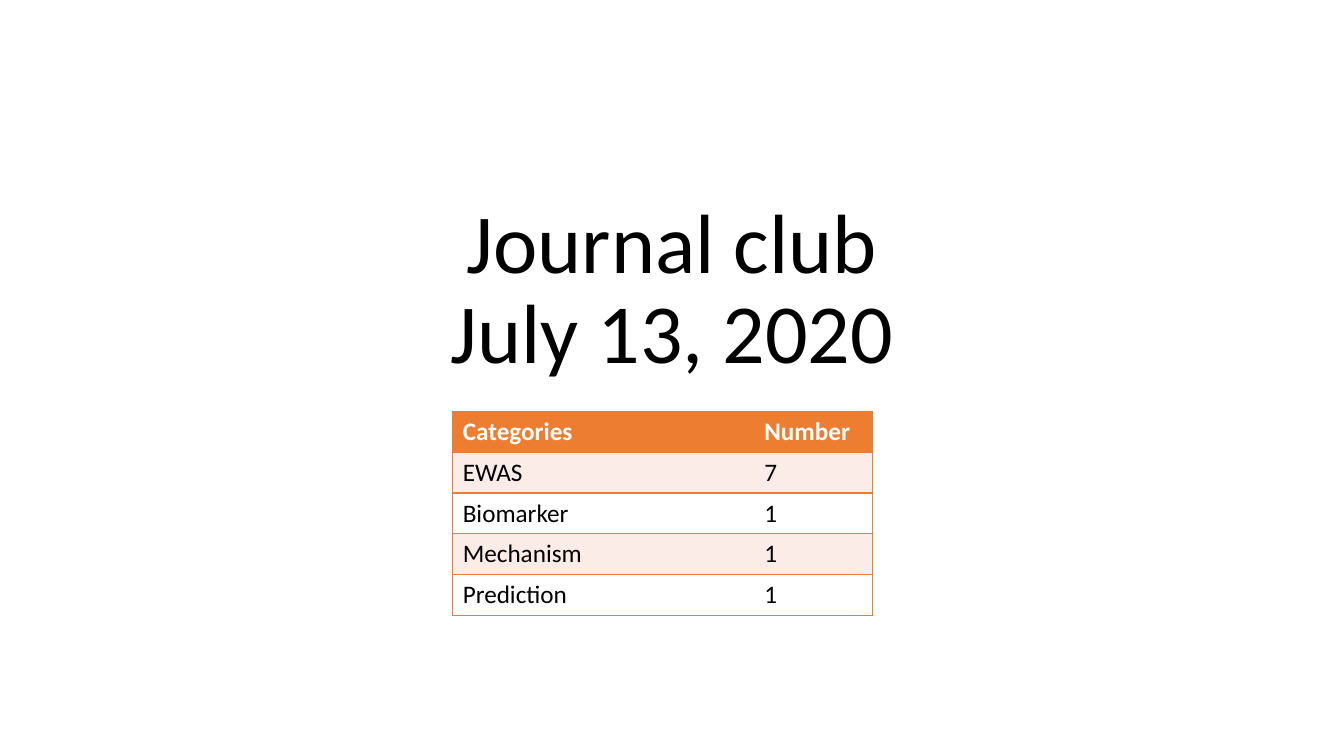
"""Build the journal club opening slide with its table of paper categories."""
from lxml import etree
from pptx import Presentation, util as u
from pptx.dml.color import RGBColor
from pptx.enum import text
from pptx.oxml.ns import qn

THEME = {
    "font": "Calibri", "title": 60, "body": 18, "rule": 1,
    "black": "000000", "white": "FFFFFF", "accent": "ED7D31", "band": "FCECE8",
}


def write(frame, content, size, color, bold=False, align=None, spacing=None):
    line = frame.paragraphs[0]
    line.text = content
    line.alignment = align
    line.line_spacing = spacing
    for run in line.runs:
        run.font.name = THEME["font"]
        run.font.size = u.Pt(size)
        run.font.bold = bold
        run.font.color.rgb = RGBColor.from_string(color)


def rule_cell(cell, drawn_sides):
    properties = cell._tc.get_or_add_tcPr()
    for position, side in enumerate("LRTB"):
        edge = etree.Element(qn(f"a:ln{side}"), w=str(u.Pt(THEME["rule"])))
        if side in drawn_sides:
            paint = etree.SubElement(edge, qn("a:solidFill"))
            etree.SubElement(paint, qn("a:srgbClr"), val=THEME["accent"])
        else:
            etree.SubElement(edge, qn("a:noFill"))
        properties.insert(position, edge)


deck = Presentation()
deck.slide_width, deck.slide_height = u.Inches(13.33), u.Inches(7.5)
slide = deck.slides.add_slide(deck.slide_layouts[5])

heading = slide.shapes.title
heading.left, heading.top = deck.slide_width // 8, u.Inches(1.23)
heading.width, heading.height = deck.slide_width * 3 // 4, u.Inches(2.61)
heading.text_frame.auto_size = text.MSO_AUTO_SIZE.NONE
heading.text_frame.word_wrap = True
heading.text_frame.vertical_anchor = text.MSO_ANCHOR.BOTTOM
write(heading.text_frame, "Journal club\vJuly 13, 2020", THEME["title"],
      THEME["black"], align=text.PP_ALIGN.CENTER, spacing=0.9)

counts = [
    ("Categories", "Number"),
    ("EWAS", "7"),
    ("Biomarker", "1"),
    ("Mechanism", "1"),
    ("Prediction", "1"),
]
column_widths = [2.99, 1.17]
row_height = 0.4
categories = slide.shapes.add_table(
    len(counts), len(column_widths), u.Inches(4.49), u.Inches(4.08),
    u.Inches(sum(column_widths)), u.Inches(row_height * len(counts))).table

for column, width in zip(categories.columns, column_widths):
    column.width = u.Inches(width)

for row, entries in enumerate(counts):
    is_header = row == 0
    background = THEME["accent"] if is_header else THEME["band" if row % 2 else "white"]
    for column, (entry, outer_side) in enumerate(zip(entries, "LR")):
        cell = categories.cell(row, column)
        cell.fill.solid()
        cell.fill.fore_color.rgb = RGBColor.from_string(background)
        write(cell.text_frame, entry, THEME["body"],
              THEME["white" if is_header else "black"], bold=is_header)
        rule_cell(cell, outer_side + "TB")

deck.save("out.pptx")
